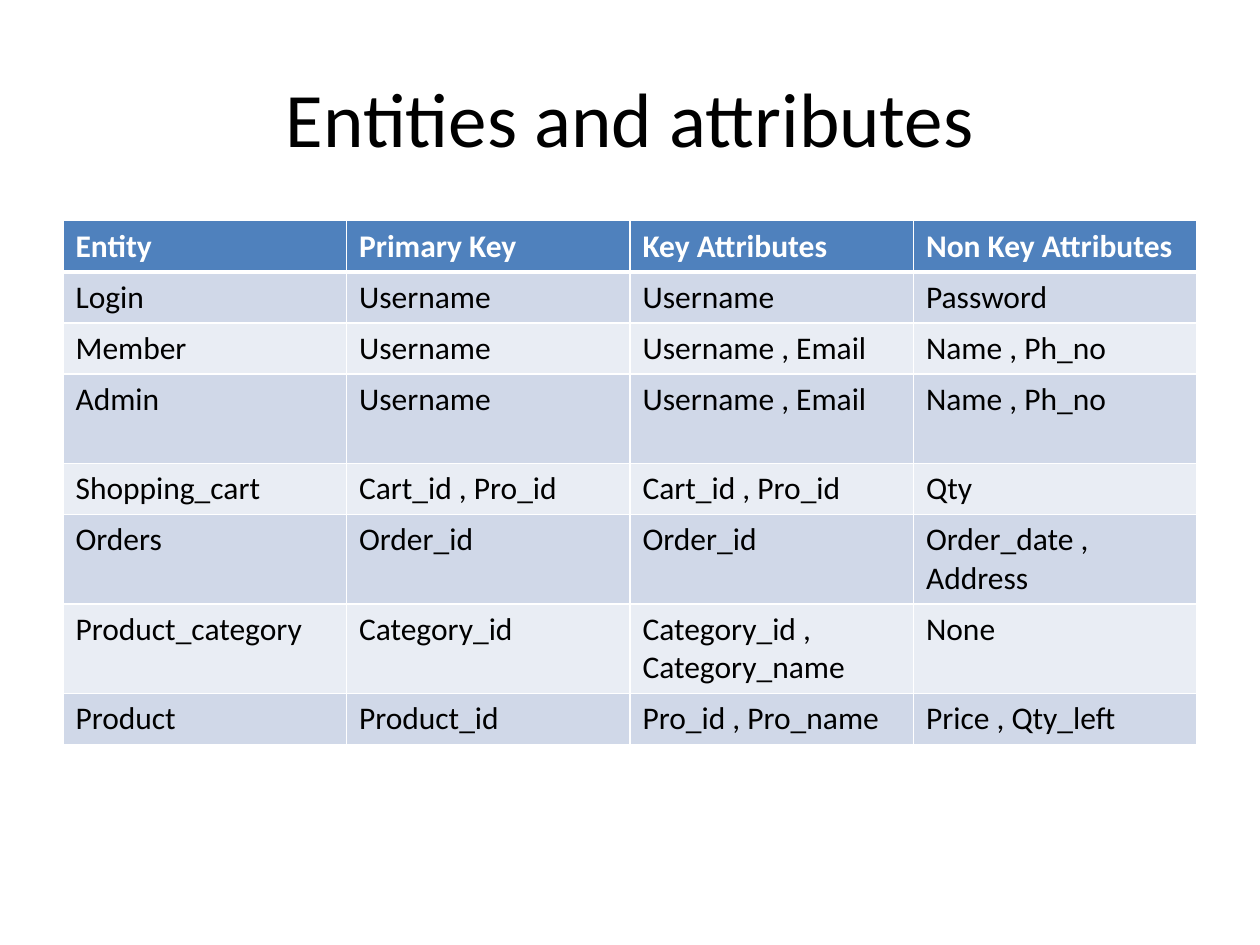
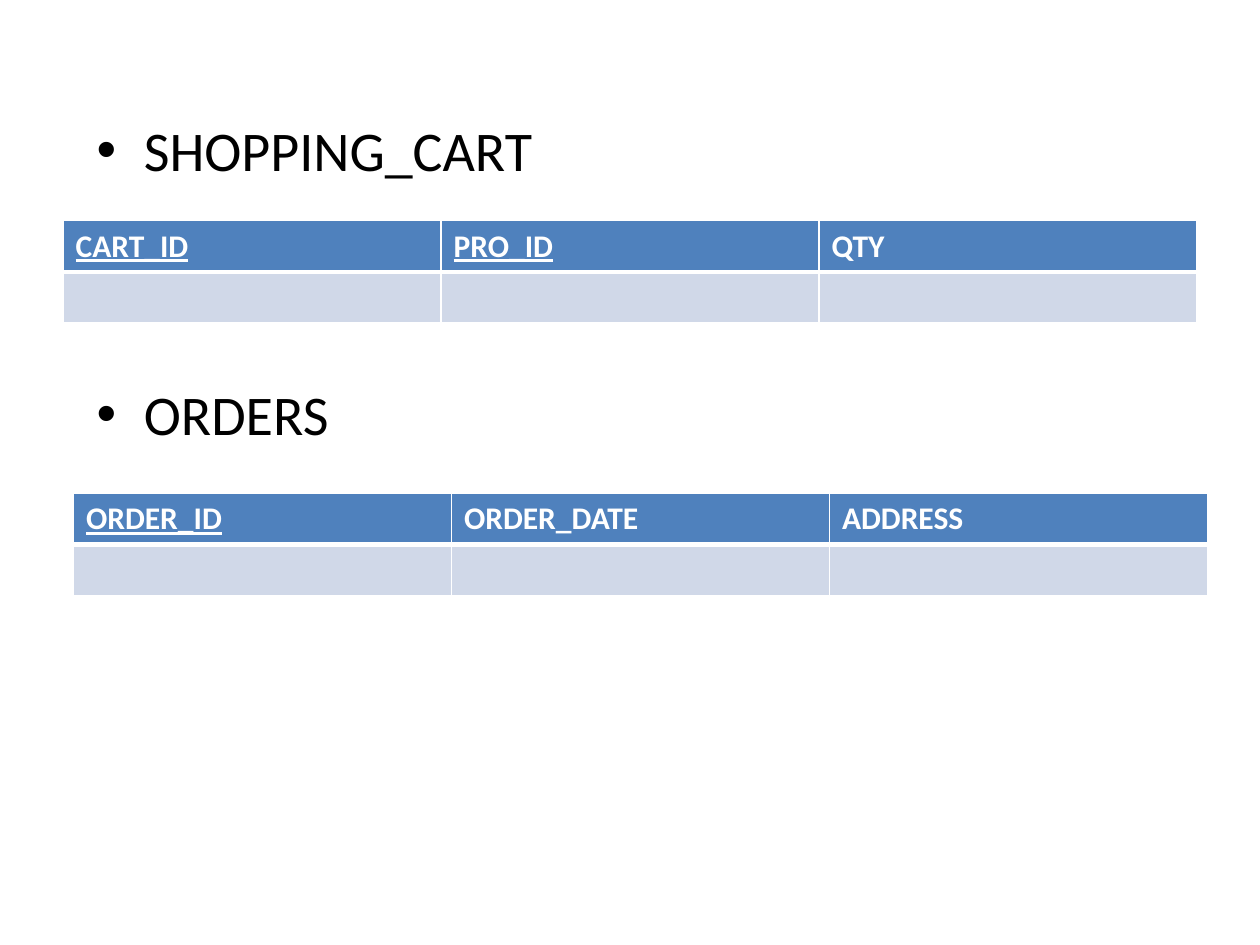
from lxml.etree import SubElement
from pptx import Presentation
from pptx.dml.color import RGBColor
from pptx.enum.text import MSO_ANCHOR, PP_ALIGN
from pptx.oxml.ns import qn
from pptx.util import Cm, Pt

FONT = "Calibri"
BLACK, WHITE, HEADER = "000000", "FFFFFF", "4F81BD"
BANDS = ("D0D8E8", "E9EDF4")
TITLE_FORMAT = {"size": Pt(44), "bold": False}
BULLET_FORMAT = {"size": Pt(32)}
HEADER_FORMAT = {"size": Pt(18), "bold": True}
BODY_FORMAT = {"size": Pt(18), "bold": False}
THIN, THICK = 1, 3
ROW_HEIGHT, TALL_ROW = 1.03, 1.8
TABLE_LEFT, TABLE_TOP, TABLE_WIDTH = 1.27, 4.45, 22.86

ENTITIES = [
    ("Entity", "Primary Key", "Key Attributes", "Non Key Attributes"),
    ("Login", "Username", "Username", "Password"),
    ("Member", "Username", "Username , Email", "Name , Ph_no"),
    ("Admin", "Username", "Username , Email", "Name , Ph_no"),
    ("Shopping_cart", "Cart_id , Pro_id", "Cart_id , Pro_id", "Qty"),
    ("Orders", "Order_id", "Order_id", "Order_date , Address"),
    ("Product_category", "Category_id", "Category_id , Category_name", "None"),
    ("Product", "Product_id", "Pro_id , Pro_name", "Price , Qty_left"),
]
ADMIN_ROW = 3
PRIMARY_KEYS = {"CART_ID", "PRO_ID", "ORDER_ID"}
SCHEMAS = [
    ("SHOPPING_CART", 2.21, TABLE_LEFT, TABLE_TOP, ("CART_ID", "PRO_ID", "QTY")),
    ("ORDERS", 7.52, 1.48, 9.95, ("ORDER_ID", "ORDER_DATE", "ADDRESS")),
]


def color(hex_value):
    """Return the colour for a hex string."""
    return RGBColor.from_string(hex_value)


def write(paragraph, text, font_color, formats):
    """Add one formatted run to a paragraph."""
    run = paragraph.add_run()
    run.text = text
    run.font.name = FONT
    run.font.color.rgb = color(font_color)
    for name, value in formats.items():
        setattr(run.font, name, value)


def add_title(slide, text):
    """Place and fill the title placeholder."""
    title = slide.shapes.title
    place = {"left": Cm(1.27), "top": Cm(0.76), "width": Cm(22.86), "height": Cm(3.18)}
    for name, value in place.items():
        setattr(title, name, value)
    title.text_frame.vertical_anchor = MSO_ANCHOR.MIDDLE
    paragraph = title.text_frame.paragraphs[0]
    paragraph.alignment = PP_ALIGN.CENTER
    write(paragraph, text, BLACK, TITLE_FORMAT)


def add_bullet(slide, text, top):
    """Add a one-line bulleted heading."""
    box = slide.shapes.add_textbox(Cm(1.7), Cm(top), Cm(11.63), Cm(1.47))
    box.text_frame.word_wrap = True
    paragraph = box.text_frame.paragraphs[0]
    write(paragraph, text, BLACK, BULLET_FORMAT)
    properties = paragraph._p.get_or_add_pPr()
    properties.set("marL", str(Cm(0.95)))
    properties.set("indent", str(-Cm(0.95)))
    spacing = SubElement(properties, qn("a:spcBef"))
    SubElement(spacing, qn("a:spcPct"), val="20000")
    SubElement(properties, qn("a:buFont"), typeface="Arial")
    SubElement(properties, qn("a:buChar"), char="•")


def add_borders(cell, top, bottom):
    """Draw white borders on the four sides of a cell."""
    properties = cell._tc.get_or_add_tcPr()
    widths = {"a:lnL": THIN, "a:lnR": THIN, "a:lnT": top, "a:lnB": bottom}
    for tag, width in widths.items():
        line = SubElement(properties, qn(tag), w=str(Pt(width)))
        fill = SubElement(line, qn("a:solidFill"))
        SubElement(fill, qn("a:srgbClr"), val=WHITE)


def format_cell(cell, text, row_index):
    """Fill, border and write one table cell."""
    is_header = row_index == 0
    add_borders(cell, THICK if row_index == 1 else THIN, THICK if is_header else THIN)
    cell.fill.solid()
    cell.fill.fore_color.rgb = color(HEADER if is_header else BANDS[(row_index - 1) % 2])
    if text:
        formats = dict(HEADER_FORMAT if is_header else BODY_FORMAT)
        formats["underline"] = text in PRIMARY_KEYS
        write(cell.text_frame.paragraphs[0], text, WHITE if is_header else BLACK, formats)


def add_grid(slide, rows, left, top):
    """Add a banded table with equal columns and return it."""
    frame = slide.shapes.add_table(len(rows), len(rows[0]), Cm(left), Cm(top),
                                   Cm(TABLE_WIDTH), Cm(ROW_HEIGHT * len(rows)))
    table = frame.table
    for row_index, texts in enumerate(rows):
        table.rows[row_index].height = Cm(ROW_HEIGHT)
        for column_index, text in enumerate(texts):
            format_cell(table.cell(row_index, column_index), text, row_index)
    return table


def main():
    """Build both slides and save the presentation."""
    presentation = Presentation()
    presentation.slide_width, presentation.slide_height = Cm(25.4), Cm(19.05)
    title_only, blank = presentation.slide_layouts[5], presentation.slide_layouts[6]

    entity_slide = presentation.slides.add_slide(title_only)
    add_title(entity_slide, "Entities and attributes")
    entity_table = add_grid(entity_slide, ENTITIES, TABLE_LEFT, TABLE_TOP)
    entity_table.rows[ADMIN_ROW].height = Cm(TALL_ROW)

    schema_slide = presentation.slides.add_slide(blank)
    for name, bullet_top, left, top, fields in SCHEMAS:
        add_bullet(schema_slide, name, bullet_top)
        add_grid(schema_slide, [fields, [""] * len(fields)], left, top)

    presentation.save("out.pptx")


if __name__ == "__main__":
    main()
